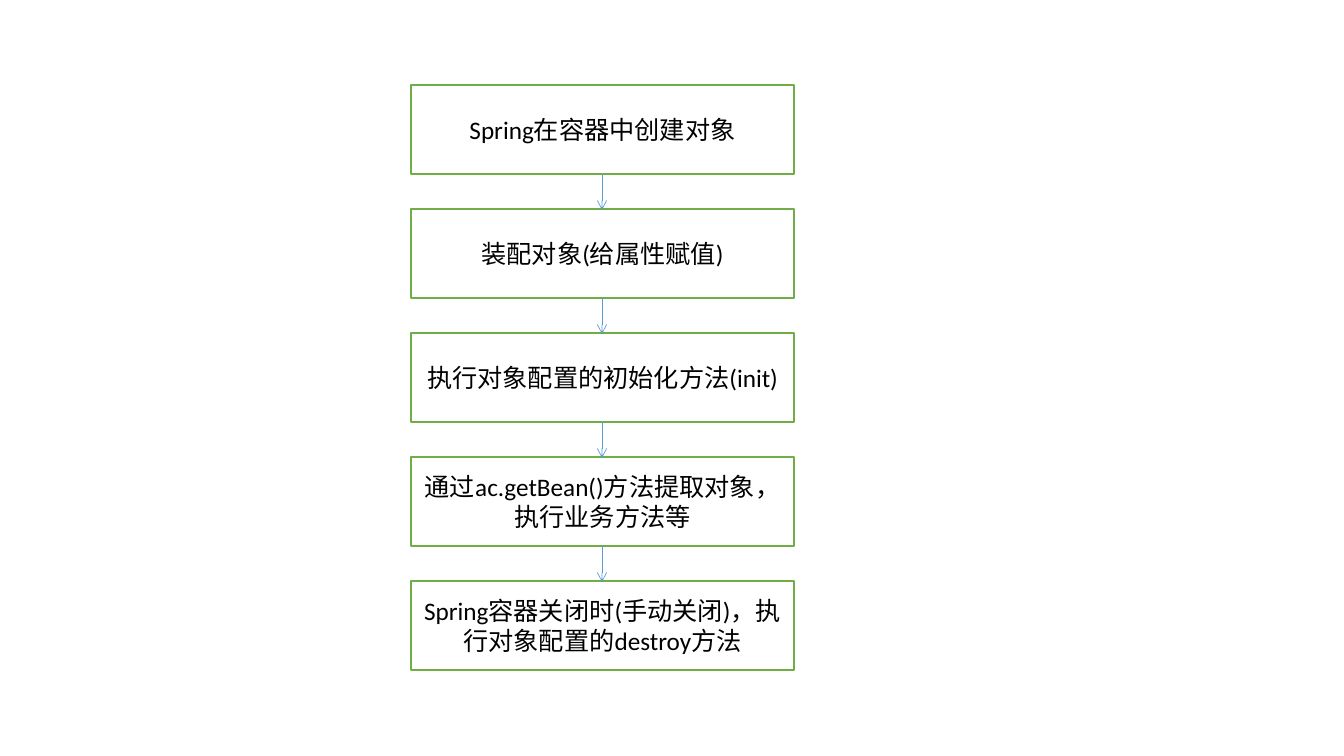
from itertools import pairwise

from pptx import Presentation
from pptx.dml.color import RGBColor as Rgb
from pptx.enum.shapes import MSO_CONNECTOR as Link, MSO_SHAPE as Kind
from pptx.enum.text import MSO_ANCHOR as Anchor, PP_ALIGN as Align
from pptx.oxml.ns import qn
from pptx.util import Emu, Pt
from lxml.etree import SubElement as add_tag

SCALE = 914400 / 100.8
STEPS = [
    "Spring在容器中创建对象",
    "装配对象(给属性赋值)",
    "执行对象配置的初始化方法(init)",
    "通过ac.getBean()方法提取对象，执行业务方法等",
    "Spring容器关闭时(手动关闭)，执行对象配置的destroy方法",
]
LEFT, TOP, WIDTH, HEIGHT, PITCH = 411, 85, 383, 89, 124


def px(*vals):
    """Turn whole pixels into EMU lengths."""
    return [Emu(round(v * SCALE)) for v in vals]


def color(code):
    """Turn a hex string into a colour."""
    return Rgb.from_string(code)


def apply(item, style):
    """Set each attribute named in a dict of format values."""
    for name, value in style.items():
        setattr(item, name, value)


class Flow:
    """Holds the style and the current slide."""

    font = {"name": "Calibri", "size": Pt(18)}
    frame = {"word_wrap": True, "vertical_anchor": Anchor.MIDDLE}
    ink, paper, edge, arrow = "000000", "FFFFFF", "70AD47", "5B9BD5"

    def __init__(self, slide):
        """Keep the slide to draw on."""
        self.shapes = slide.shapes

    def line(self, item, code, width):
        """Format the line of a shape or connector."""
        item.line.color.rgb = color(code)
        item.line.width = Pt(width)

    def step(self, text, x, y, w, h):
        """Add a process box with centred text."""
        box = self.shapes.add_shape(Kind.FLOWCHART_PROCESS, *px(x, y, w, h))
        box.shadow.inherit = False
        box.fill.solid()
        box.fill.fore_color.rgb = color(self.paper)
        self.line(box, self.edge, 1)
        apply(box.text_frame, self.frame)
        para = box.text_frame.paragraphs[0]
        para.alignment = Align.CENTER
        run = para.add_run()
        run.text = text
        apply(run.font, self.font)
        run.font.color.rgb = color(self.ink)

    def link(self, x, start, end):
        """Add a downward arrow."""
        wire = self.shapes.add_connector(Link.STRAIGHT, *px(x, start, x, end))
        self.line(wire, self.arrow, 0.5)
        add_tag(wire.line._get_or_add_ln(), qn("a:tailEnd"), type="arrow")
        add_tag(wire._element.spPr, qn("a:effectLst"))


deck = Presentation()
deck.slide_width, deck.slide_height = px(1344, 756)
flow = Flow(deck.slides.add_slide(deck.slide_layouts[6]))

tops = [TOP + PITCH * i for i in range(len(STEPS))]
for text, top in zip(STEPS, tops):
    flow.step(text, LEFT, top, WIDTH, HEIGHT)
for top, below in pairwise(tops):
    flow.link(LEFT + WIDTH // 2, top + HEIGHT, below + 1)

deck.save("out.pptx")
